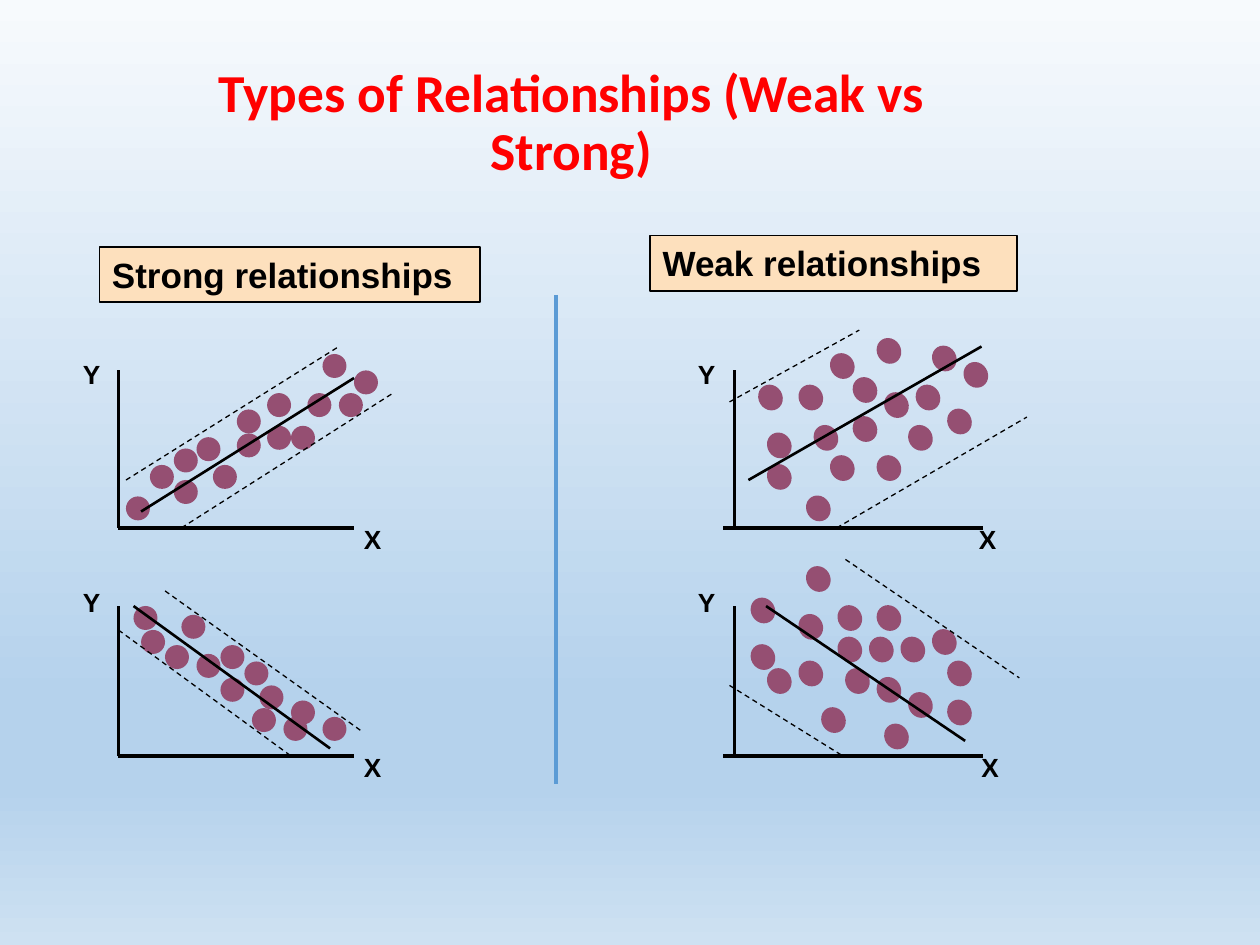
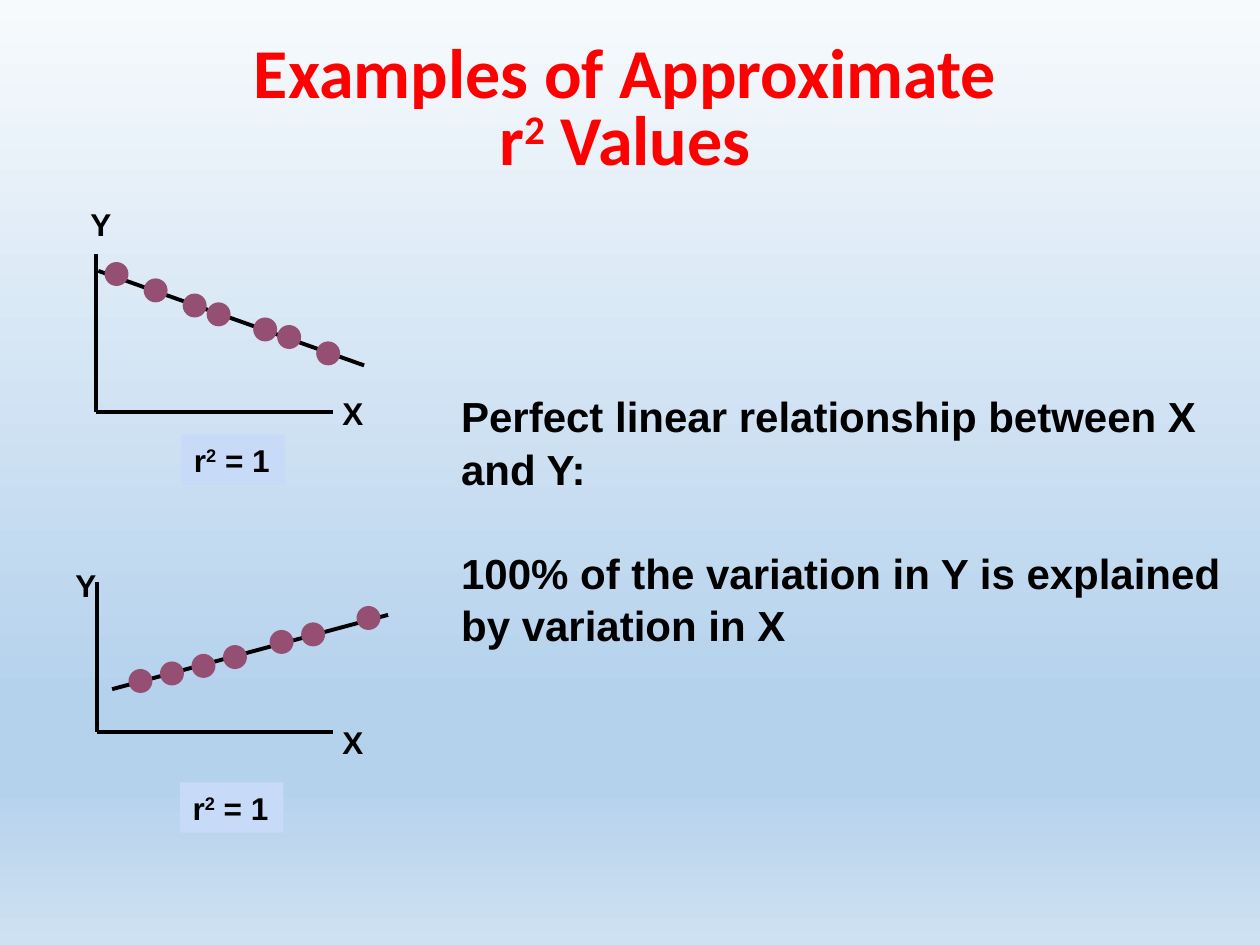
"""Build two slides on the strength of linear relationships and r² values."""
from dataclasses import dataclass

from lxml.etree import SubElement
from pptx import Presentation
from pptx.dml.color import RGBColor
from pptx.enum.dml import MSO_LINE
from pptx.enum.shapes import MSO_CONNECTOR, MSO_SHAPE
from pptx.enum.text import MSO_ANCHOR, MSO_AUTO_SIZE, PP_ALIGN
from pptx.oxml.ns import qn
from pptx.util import Inches, Pt

Point = tuple[float, float]
Segment = tuple[Point, Point]
Area = tuple[float, float, float, float]


@dataclass(frozen=True)
class Theme:
    """Colours, fonts and point sizes shared by the slides."""
    title: str = "FF0000"
    ink: str = "000000"
    dot: str = "954F72"
    heading: str = "FDE0BD"
    badge: str = "C7DAF7"
    divider: str = "5B9BD5"
    background: tuple = ((0, "F7FAFD"), (74, "B5D2EC"), (83, "B5D2EC"), (100, "CEE1F2"))
    title_font: str = "Calibri"
    text_font: str = "Arial"
    long_title_size: float = 30.5
    title_size: float = 40
    body_size: float = 24
    heading_size: float = 20
    badge_size: float = 18
    axis_width: float = 2
    band_width: float = 0.75
    divider_width: float = 2.25


@dataclass(frozen=True)
class PlotStyle:
    """Sizes that the plots of one slide share."""
    label_size: float
    label_height: float
    fit_width: float
    fit_above_dots: bool


@dataclass(frozen=True)
class Plot:
    """A hand-drawn scatter plot with axes, dots, a fit line and bands."""
    axis_x: float
    axis_top: float
    base: float
    base_start: float
    base_end: float
    y_label: Point
    x_label: Point
    label_width: float
    dot_width: float
    fit: Segment
    dots: tuple[Point, ...]
    bands: tuple[Segment, ...] = ()


@dataclass(frozen=True)
class Heading:
    """A framed column heading."""
    text: str
    area: Area


THEME = Theme()
DOT_HEIGHT = 0.19
DOT_ROTATION = 238.6
SPREAD_STYLE = PlotStyle(15, 0.35, 1.5, True)
PERFECT_STYLE = PlotStyle(18, 0.4, 2.25, False)

HEADINGS = (
    Heading("Strong relationships", (0.79, 1.96, 3.02, 0.44)),
    Heading("Weak relationships", (5.16, 1.87, 2.91, 0.44)),
)

SPREAD_PLOTS = (
    Plot(0.94, 2.94, 4.19, 0.94, 2.81, (0.56, 2.79), (2.79, 4.1), 0.34, 0.19,
         fit=((1.12, 4.06), (2.81, 3)),
         dots=((1, 3.94), (1.19, 3.69), (2.56, 2.81), (2.69, 3.12), (1.38, 3.81),
               (2.81, 2.94), (2.12, 3.38), (2.12, 3.12), (2.44, 3.12), (1.88, 3.25),
               (1.38, 3.56), (1.56, 3.47), (2.31, 3.38), (1.88, 3.44), (1.69, 3.69)),
         bands=(((1, 3.81), (2.69, 2.75)), ((1.44, 4.19), (3.12, 3.12)))),
    Plot(0.94, 4.81, 6, 0.94, 2.81, (0.56, 4.6), (2.79, 5.91), 0.34, 0.19,
         fit=((1.06, 4.81), (2.62, 5.94)),
         dots=((2.25, 5.69), (1.12, 5), (2.56, 5.69), (1.44, 4.88), (2.06, 5.44),
               (2.31, 5.56), (1.75, 5.12), (1.06, 4.81), (1.31, 5.12), (1.56, 5.19),
               (2, 5.62), (1.94, 5.25), (1.75, 5.38)),
         bands=(((1.31, 4.69), (2.88, 5.81)), ((0.94, 5), (2.31, 6)))),
    Plot(5.83, 2.94, 4.19, 5.74, 7.8, (5.44, 2.79), (7.67, 4.1), 0.38, 0.21,
         fit=((5.94, 3.81), (7.79, 2.75)),
         dots=((6.76, 3), (6.08, 3.69), (6.95, 3.62), (7.26, 3.06), (6.33, 3.06),
               (6.39, 3.94), (6.58, 3.62), (7.01, 3.12), (6.58, 2.81), (6.08, 3.44),
               (6.01, 3.06), (6.45, 3.38), (7.2, 3.38), (6.76, 3.31), (6.95, 2.69),
               (7.64, 2.88), (7.51, 3.25), (7.39, 2.75)),
         bands=(((5.79, 3.19), (6.82, 2.62)), ((6.64, 4.19), (8.15, 3.31)))),
    Plot(5.83, 4.81, 6, 5.74, 7.8, (5.44, 4.6), (7.69, 5.91), 0.38, 0.21,
         fit=((6.08, 4.81), (7.66, 5.88)),
         dots=((5.95, 5.12), (5.95, 4.75), (6.33, 5.25), (7.01, 5.75), (6.08, 5.31),
               (6.64, 4.81), (6.95, 5.38), (6.89, 5.06), (6.64, 5.06), (6.33, 4.88),
               (7.14, 5.06), (6.7, 5.31), (6.51, 5.62), (7.2, 5.5), (7.51, 5.25),
               (7.39, 5), (7.51, 5.56), (6.95, 4.81), (6.39, 4.5)),
         bands=(((6.71, 4.44), (8.09, 5.38)), ((5.79, 5.44), (6.69, 6)))),
)

PERFECT_PLOTS = (
    Plot(0.76, 2.02, 3.27, 0.76, 2.64, (0.62, 1.58), (2.62, 3.08), 0.37, 0.19,
         fit=((2.89, 2.9), (0.78, 2.15)),
         dots=((2.51, 2.71), (2.01, 2.52), (1.64, 2.4), (0.83, 2.08), (1.14, 2.21),
               (1.45, 2.33), (2.2, 2.58))),
    Plot(0.77, 4.62, 5.81, 0.77, 2.64, (0.5, 4.44), (2.62, 5.69), 0.37, 0.19,
         fit=((0.89, 5.47), (3.08, 4.88)),
         dots=((1.02, 5.31), (1.27, 5.25), (1.52, 5.19), (1.77, 5.12), (2.14, 5),
               (2.39, 4.94), (2.83, 4.81))),
)

BADGE_AREAS = ((1.44, 3.45, 0.82, 0.4), (1.43, 6.21, 0.82, 0.4))
FINDINGS = (
    "Perfect linear relationship between X and Y:",
    "100% of the variation in Y is explained by variation in X",
)


def inches(values: Area) -> list:
    """Turn left, top, width and height into lengths."""
    return [Inches(value) for value in values]


def style_runs(paragraph, font: str, size: float, colour: str) -> None:
    """Give every run of a paragraph the same bold type."""
    for span in paragraph.runs:
        span.font.name = font
        span.font.size = Pt(size)
        span.font.bold = True
        span.font.color.rgb = RGBColor.from_string(colour)


def write_squared(paragraph, before: str, after: str) -> None:
    """Write text with a raised 2 in its middle."""
    paragraph.text = before
    square = paragraph.add_run()
    square.text = "2"
    square._r.get_or_add_rPr().set("baseline", "30000")
    paragraph.add_run().text = after


def add_line(page, segment: Segment, width: float, colour: str = THEME.ink,
             dashed: bool = False) -> None:
    """Draw a straight line without a shadow."""
    ends = [Inches(value) for point in segment for value in point]
    line = page.shapes.add_connector(MSO_CONNECTOR.STRAIGHT, *ends)
    line.line.color.rgb = RGBColor.from_string(colour)
    line.line.width = Pt(width)
    if dashed:
        line.line.dash_style = MSO_LINE.DASH
    SubElement(line.element.spPr, qn("a:effectLst"))


def add_filled(page, kind: MSO_SHAPE, area: Area, colour: str):
    """Draw a flat shape with no outline."""
    shape = page.shapes.add_shape(kind, *inches(area))
    shape.shadow.inherit = False
    shape.fill.solid()
    shape.fill.fore_color.rgb = RGBColor.from_string(colour)
    shape.line.fill.background()
    return shape


def fit_frame(box, wrap: bool) -> None:
    """Let a box grow around top-left text."""
    frame = box.text_frame
    frame.word_wrap = wrap
    frame.auto_size = MSO_AUTO_SIZE.SHAPE_TO_FIT_TEXT
    frame.vertical_anchor = MSO_ANCHOR.TOP
    frame.paragraphs[0].alignment = PP_ALIGN.LEFT


def add_axis_label(page, text: str, corner: Point, width: float, style: PlotStyle) -> None:
    """Write the letter beside an axis."""
    box = page.shapes.add_textbox(*inches((*corner, width, style.label_height)))
    box.text_frame.text = text
    fit_frame(box, wrap=False)
    style_runs(box.text_frame.paragraphs[0], THEME.text_font, style.label_size, THEME.ink)


def add_plot(page, plot: Plot, style: PlotStyle) -> None:
    """Draw one scatter plot."""
    add_line(page, ((plot.axis_x, plot.axis_top), (plot.axis_x, plot.base)), THEME.axis_width)
    add_line(page, ((plot.base_start, plot.base), (plot.base_end, plot.base)), THEME.axis_width)
    if not style.fit_above_dots:
        add_line(page, plot.fit, style.fit_width)
    for corner in plot.dots:
        dot = add_filled(page, MSO_SHAPE.OVAL, (*corner, plot.dot_width, DOT_HEIGHT), THEME.dot)
        dot.rotation = DOT_ROTATION
    for band in plot.bands:
        add_line(page, band, THEME.band_width, dashed=True)
    if style.fit_above_dots:
        add_line(page, plot.fit, style.fit_width)
    add_axis_label(page, "Y", plot.y_label, plot.label_width, style)
    add_axis_label(page, "X", plot.x_label, plot.label_width, style)


def add_heading(page, heading: Heading) -> None:
    """Draw a framed column heading."""
    box = add_filled(page, MSO_SHAPE.RECTANGLE, heading.area, THEME.heading)
    box.line.color.rgb = RGBColor.from_string(THEME.ink)
    box.line.width = Pt(1)
    box.text_frame.text = heading.text
    fit_frame(box, wrap=True)
    style_runs(box.text_frame.paragraphs[0], THEME.text_font, THEME.heading_size, THEME.ink)


def add_badge(page, area: Area) -> None:
    """Draw the r² value below a plot."""
    box = add_filled(page, MSO_SHAPE.RECTANGLE, area, THEME.badge)
    paragraph = box.text_frame.paragraphs[0]
    write_squared(paragraph, "r", " = 1")
    fit_frame(box, wrap=False)
    style_runs(paragraph, THEME.text_font, THEME.badge_size, THEME.ink)


def place(placeholder, area: Area) -> None:
    """Move a placeholder and keep its type size fixed."""
    placeholder.left, placeholder.top, placeholder.width, placeholder.height = inches(area)
    placeholder.text_frame.word_wrap = True
    placeholder.text_frame.auto_size = MSO_AUTO_SIZE.NONE


def format_title(page, area: Area, size: float, spacing: float) -> None:
    """Place and colour the slide title."""
    title = page.shapes.title
    place(title, area)
    frame = title.text_frame
    frame.vertical_anchor = MSO_ANCHOR.MIDDLE
    frame.margin_left = frame.margin_right = Inches(0.07)
    frame.margin_top = frame.margin_bottom = Inches(0.04)
    paragraph = frame.paragraphs[0]
    paragraph.alignment = PP_ALIGN.CENTER
    paragraph.line_spacing = spacing
    style_runs(paragraph, THEME.title_font, size, THEME.title)


def fill_findings(body) -> None:
    """Write the findings as plain paragraphs."""
    place(body, (3.56, 3.03, 6.33, 2.12))
    body.text_frame.text = "\n".join(FINDINGS)
    for index, paragraph in enumerate(body.text_frame.paragraphs):
        paragraph.line_spacing = 1.05
        paragraph.space_before = Pt(29 * index)
        properties = paragraph._p.get_or_add_pPr()
        properties.set("marL", "0")
        properties.set("indent", "0")
        SubElement(properties, qn("a:buNone"))
        style_runs(paragraph, THEME.text_font, THEME.body_size, THEME.ink)


def paint_background(master) -> None:
    """Give all slides the vertical blue gradient."""
    fill = master.background.fill
    fill.gradient()
    fill.gradient_angle = 270
    stops = next(master.element.iter(qn("a:gsLst")))
    for stop in list(stops):
        stops.remove(stop)
    for position, colour in THEME.background:
        stop = SubElement(stops, qn("a:gs"), pos=str(position * 1000))
        SubElement(stop, qn("a:srgbClr"), val=colour)


def build_strength_slide(deck) -> None:
    """Compare strong with weak relationships."""
    page = deck.slides.add_slide(deck.slide_layouts.get_by_name("Title Only"))
    page.shapes.title.text_frame.text = "Types of Relationships (Weak vs Strong)"
    format_title(page, (1.08, 0.58, 6.91, 0.81), THEME.long_title_size, 0.9)
    for plot in SPREAD_PLOTS:
        add_plot(page, plot, SPREAD_STYLE)
    for heading in HEADINGS:
        add_heading(page, heading)
    add_line(page, ((4.41, 2.34), (4.41, 6.22)), THEME.divider_width, THEME.divider)


def build_perfect_slide(deck) -> None:
    """Show two perfect linear relationships."""
    page = deck.slides.add_slide(deck.slide_layouts.get_by_name("Title and Content"))
    write_squared(page.shapes.title.text_frame.paragraphs[0],
                  "Examples of Approximate\vr", " Values")
    format_title(page, (0.19, 0.28, 9.54, 1.21), THEME.title_size, 0.8)
    fill_findings(page.placeholders[1])
    for plot, area in zip(PERFECT_PLOTS, BADGE_AREAS):
        add_plot(page, plot, PERFECT_STYLE)
        add_badge(page, area)


def main() -> None:
    """Build and save the deck."""
    deck = Presentation()
    deck.slide_width, deck.slide_height = Inches(10), Inches(7.5)
    paint_background(deck.slide_master)
    build_strength_slide(deck)
    build_perfect_slide(deck)
    deck.save("out.pptx")


if __name__ == "__main__":
    main()
